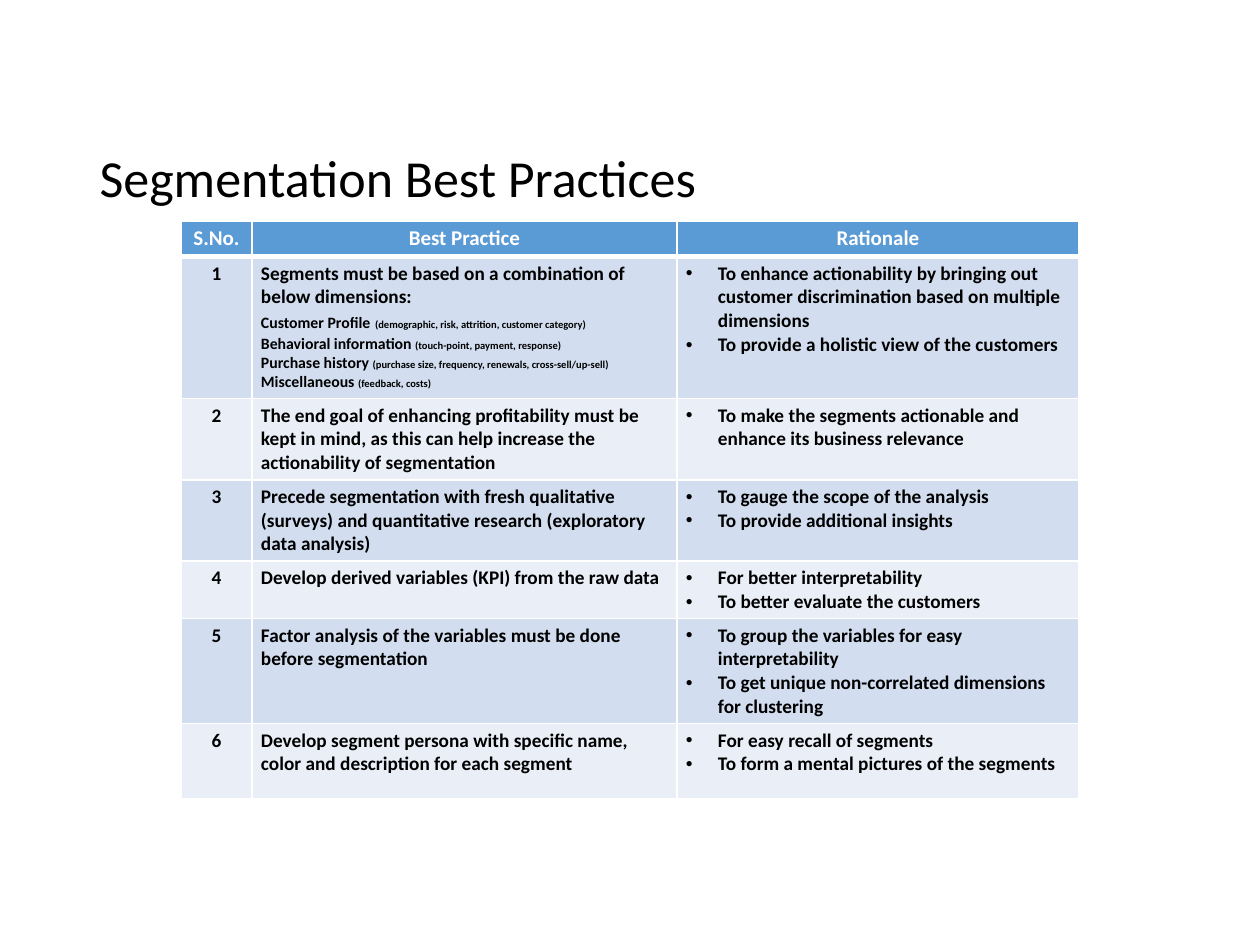
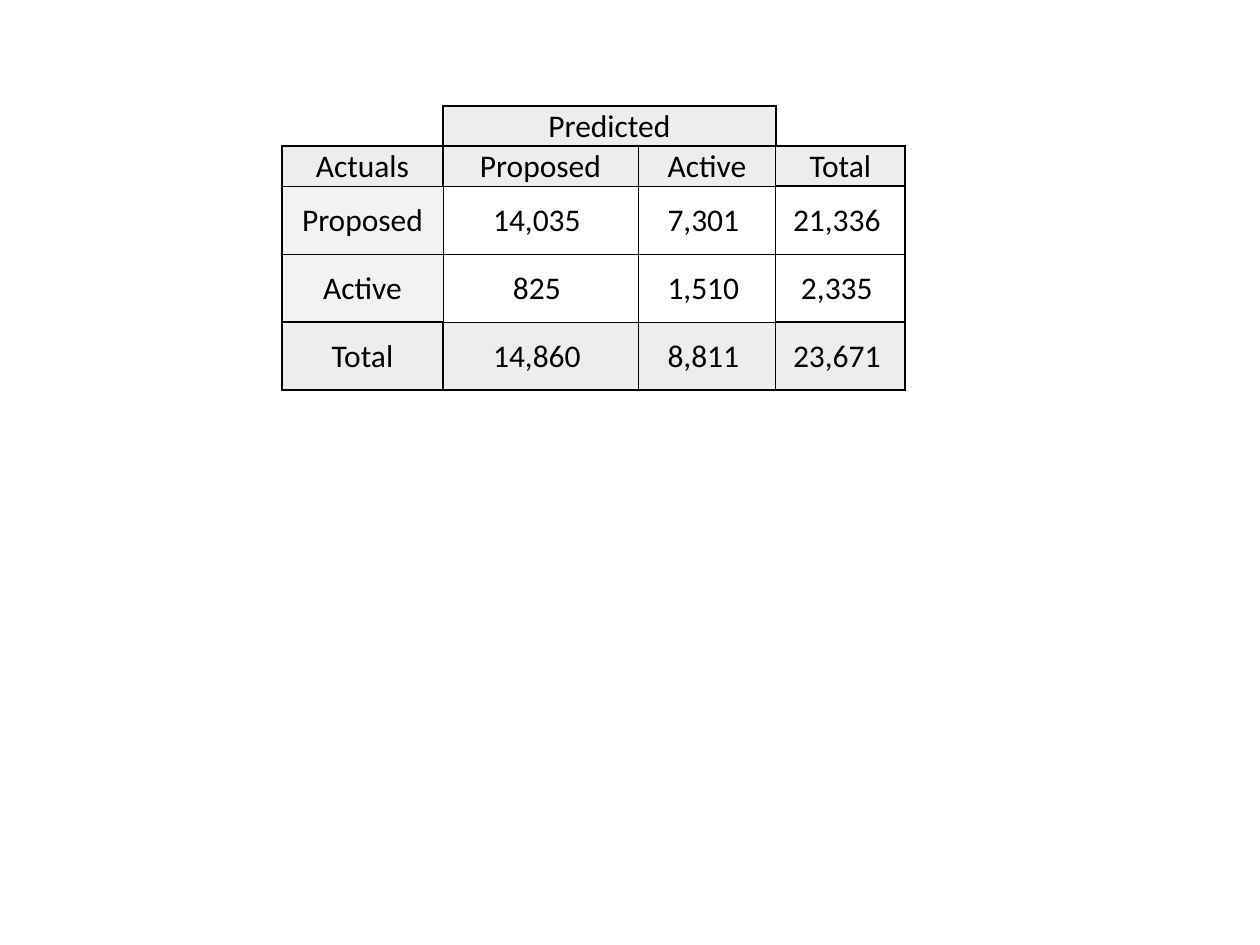
from dataclasses import dataclass

from pptx import Presentation
from pptx.dml.color import RGBColor
from pptx.enum.text import MSO_ANCHOR as Anchor, MSO_AUTO_SIZE as AutoSize, PP_ALIGN as Align
from pptx.oxml.xmlchemy import OxmlElement as Element
from pptx.util import Emu, Pt

PX = 914400 / 126


@dataclass(frozen=True)
class Theme:
    font: str = "Calibri"
    black: str = "000000"
    white: str = "FFFFFF"
    header: str = "5B9BD5"
    bands: tuple = ("D2DEEF", "EAEFF7")
    total: str = "EDEDED"
    label: str = "F2F2F2"
    title_size: float = 29.7
    header_size: int = 12
    body_size: int = 11
    label_size: int = 9
    detail_size: int = 6
    matrix_size: int = 18


THEME = Theme()


def px(length):
    return Emu(round(length * PX))


class Deck:
    def __init__(self, theme, width, height):
        self.theme = theme
        self.presentation = Presentation()
        self.presentation.slide_width = px(width)
        self.presentation.slide_height = px(height)
        self.slide = None

    def add_slide(self, layout):
        layouts = self.presentation.slide_layouts
        self.slide = self.presentation.slides.add_slide(layouts.get_by_name(layout))

    def style(self, font, size, color, bold=False):
        font.name = self.theme.font
        font.size = Pt(size)
        font.bold = bold
        font.color.rgb = RGBColor.from_string(color)

    def title(self, text, left, top, width, height):
        shape = self.slide.shapes.title
        shape.left, shape.top, shape.width, shape.height = map(px, (left, top, width, height))
        frame = shape.text_frame
        frame.text = text
        frame.word_wrap = True
        frame.auto_size = AutoSize.NONE
        frame.vertical_anchor = Anchor.MIDDLE
        paragraph = frame.paragraphs[0]
        paragraph.alignment = Align.LEFT
        paragraph.line_spacing = 0.9
        self.style(paragraph.runs[0].font, self.theme.title_size, self.theme.black)

    def table(self, left, top, widths, heights):
        shape = self.slide.shapes.add_table(
            len(heights), len(widths), px(left), px(top), px(sum(widths)), px(sum(heights)))
        table = shape.table
        for column, width in zip(table.columns, widths):
            column.width = px(width)
        for row, height in zip(table.rows, heights):
            row.height = px(height)
        return table

    def cell(self, cell, fill, margins, borders, border_color, anchor=Anchor.TOP):
        cell.margin_left, cell.margin_top, cell.margin_right, cell.margin_bottom = map(px, margins)
        cell.vertical_anchor = anchor
        properties = cell._tc.get_or_add_tcPr()
        for side in "LRTB":
            if side in borders:
                line = Element(f"a:ln{side}")
                line.set("w", str(Pt(borders[side])))
                solid = Element("a:solidFill")
                color = Element("a:srgbClr")
                color.set("val", border_color)
                solid.append(color)
                line.append(solid)
                properties.append(line)
        cell.fill.solid()
        cell.fill.fore_color.rgb = RGBColor.from_string(fill)

    def cell_text(self, cell, paragraphs, size, color, bold=False, align=Align.LEFT, bullet=False):
        frame = cell.text_frame
        for index, content in enumerate(paragraphs):
            paragraph = frame.add_paragraph() if index else frame.paragraphs[0]
            paragraph.alignment = align
            if bullet:
                self.bullet(paragraph)
            parts = [(content, size)] if isinstance(content, str) else content
            for text, part_size in parts:
                run = paragraph.add_run()
                run.text = text
                self.style(run.font, part_size, color, bold)

    def bullet(self, paragraph):
        properties = paragraph._p.get_or_add_pPr()
        indent = px(32)
        properties.set("marL", str(indent))
        properties.set("indent", str(-indent))
        font = Element("a:buFont")
        font.set("typeface", "Arial")
        mark = Element("a:buChar")
        mark.set("char", "•")
        properties.extend((font, mark))


def dimension(label, detail, gap_size=THEME.label_size):
    return [(label, THEME.label_size), (" ", gap_size), (detail, THEME.detail_size)]


PRACTICES = [
    (["Segments must be based on a combination of below dimensions:",
      dimension("Customer Profile", "(demographic, risk, attrition, customer category)",
                THEME.header_size),
      dimension("Behavioral information", "(touch-point, payment, response)"),
      dimension("Purchase history", "(purchase size, frequency, renewals, cross-sell/up-sell)"),
      dimension("Miscellaneous", "(feedback, costs)")],
     ["To enhance actionability by bringing out customer discrimination based on multiple dimensions",
      "To provide a holistic view of the customers"]),
    (["The end goal of enhancing profitability must be kept in mind, as this can help increase "
      "the actionability of segmentation"],
     ["To make the segments actionable and enhance its business relevance"]),
    (["Precede segmentation with fresh qualitative (surveys) and quantitative research "
      "(exploratory data analysis)"],
     ["To gauge the scope of the analysis", "To provide additional insights"]),
    (["Develop derived variables (KPI) from the raw data"],
     ["For better interpretability", "To better evaluate the customers"]),
    (["Factor analysis of the variables must be done before segmentation"],
     ["To group the variables for easy interpretability",
      "To get unique non-correlated dimensions for clustering"]),
    (["Develop segment persona with specific name, color and description for each segment"],
     ["For easy recall of segments", "To form a mental pictures of the segments"]),
]

MATRIX = [
    ["", "Predicted", "", ""],
    ["Actuals", "Proposed", "Active", "Total"],
    ["Proposed", "14,035 ", "7,301 ", "21,336 "],
    ["Active", "825 ", "1,510 ", "2,335 "],
    ["Total", "14,860 ", "8,811 ", "23,671 "],
]

HEAVY_SIDES = [
    ["RB", "LTRB", "LTRB", "LB"],
    ["LTR", "LT", "T", "TRB"],
    ["L", "", "", "TR"],
    ["LB", "", "", "RB"],
    ["LTRB", "LB", "B", "TRB"],
]


def best_practices(deck):
    theme = deck.theme
    deck.add_slide("Title Only")
    deck.title("Segmentation Best Practices", 87, 156, 1086, 49)
    table = deck.table(181, 221, [71, 425, 402], [35, 142, 81, 80, 57, 105, 75])
    margins = (9, 5, 9, 5)
    thin = dict.fromkeys("LRTB", 1)
    for column, heading in enumerate(["S.No.", "Best Practice", "Rationale"]):
        cell = table.cell(0, column)
        deck.cell(cell, theme.header, margins, {**thin, "B": 3}, theme.white)
        deck.cell_text(cell, [heading], theme.header_size, theme.white, True, Align.CENTER)
    for number, (practice, rationale) in enumerate(PRACTICES, 1):
        borders = {**thin, "T": 3 if number == 1 else 1}
        for column, content in enumerate([[str(number)], practice, rationale]):
            cell = table.cell(number, column)
            deck.cell(cell, theme.bands[(number - 1) % 2], margins, borders, theme.white)
            deck.cell_text(cell, content, theme.body_size, theme.black, True,
                           Align.LEFT if column else Align.CENTER, bullet=column == 2)


def matrix_fill(theme, row, column):
    if row == 0 and column in (0, 3):
        return theme.white
    if row in (0, 1, 4):
        return theme.total
    return theme.white if column else theme.label


def confusion_matrix(deck):
    theme = deck.theme
    deck.add_slide("Blank")
    table = deck.table(282, 106, [161, 195, 138, 129], [40, 40, 68, 68, 68])
    table.cell(0, 1).merge(table.cell(0, 2))
    for row, values in enumerate(MATRIX):
        for column, value in enumerate(values):
            heavy = HEAVY_SIDES[row][column]
            sides = "LRTB" if row else heavy
            borders = {side: 1 if side in heavy else 0.5 for side in sides}
            cell = table.cell(row, column)
            deck.cell(cell, matrix_fill(theme, row, column), (1, 1, 1, 0), borders,
                      theme.black, Anchor.MIDDLE)
            if value:
                deck.cell_text(cell, [value], theme.matrix_size, theme.black, align=Align.CENTER)


def main():
    deck = Deck(THEME, 1260, 945)
    best_practices(deck)
    confusion_matrix(deck)
    deck.presentation.save("out.pptx")


if __name__ == "__main__":
    main()
